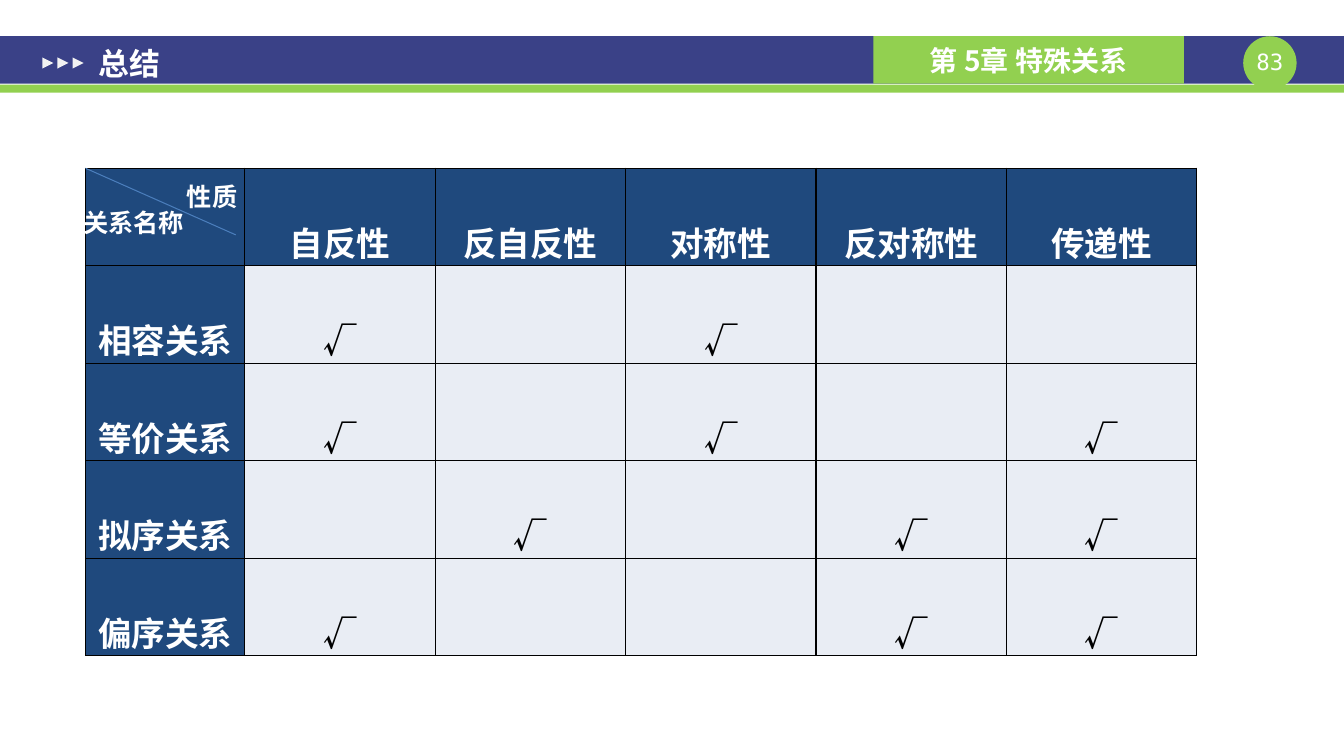
from lxml.etree import SubElement
from pptx import Presentation
from pptx.dml.color import RGBColor
from pptx.enum.shapes import MSO_CONNECTOR as Connector, MSO_SHAPE as Shape
from pptx.enum.text import MSO_ANCHOR as Anchor, PP_ALIGN as Align
from pptx.oxml.ns import qn
from pptx.util import Pt

PX = 9144
SANS = "Noto Sans CJK SC"
COLORS = {
    "band": "3A4187", "accent": "92D050", "arrow": "F2F2F2", "white": "FFFFFF",
    "black": "000000", "header": "1F497D", "body": "E9EDF4", "diagonal": "4B7EBC",
}
PROPERTIES = ["自反性", "反自反性", "对称性", "反对称性", "传递性"]
RELATIONS = {
    "相容关系": ["自反性", "对称性"],
    "等价关系": ["自反性", "对称性", "传递性"],
    "拟序关系": ["反自反性", "反对称性", "传递性"],
    "偏序关系": ["自反性", "反对称性", "传递性"],
}


def px(*lengths):
    return [length * PX for length in lengths]


def color(name):
    return RGBColor.from_string(COLORS[name])


def write(frame, text, size, font=SANS, ink="white", bold=True, align=Align.CENTER):
    frame.text = text
    para = frame.paragraphs[0]
    para.alignment = align
    for span in para.runs:
        span.font.size = Pt(size)
        span.font.bold = bold
        span.font.name = font
        span.font.color.rgb = color(ink)
        SubElement(span.font._element, qn("a:ea"), typeface=font)
    return para


def set_margins(frame, horizontal, vertical):
    frame.margin_left = frame.margin_right = horizontal * PX
    frame.margin_top = frame.margin_bottom = vertical * PX


def add_block(page, kind, bounds, fill):
    block = page.shapes.add_shape(kind, *px(*bounds))
    block.shadow.inherit = False
    block.fill.solid()
    block.fill.fore_color.rgb = color(fill)
    block.line.fill.background()
    return block


def add_label(page, bounds, text, size, font, bold=True):
    box = page.shapes.add_textbox(*px(*bounds))
    box.text_frame.word_wrap = True
    box.text_frame.vertical_anchor = Anchor.MIDDLE
    write(box.text_frame, text, size, font, bold=bold)
    return box


def add_header(page):
    add_block(page, Shape.RECTANGLE, (0, 36, 1334, 47), "band")
    add_block(page, Shape.RECTANGLE, (0, 84, 1334, 8), "accent")
    add_block(page, Shape.OVAL, (1234, 36, 53, 53), "accent")
    number = add_label(page, (1234, 48, 53, 27), "83", 16, "DejaVu Sans Mono", False)
    set_margins(number.text_frame, 0, 0)
    chapter = add_block(page, Shape.RECTANGLE, (867, 36, 308, 47), "accent")
    chapter.text_frame.vertical_anchor = Anchor.MIDDLE
    write(chapter.text_frame, "第 5章 特殊关系", 20)
    for index in range(3):
        arrow = add_block(page, Shape.ISOSCELES_TRIANGLE, (42 + 15 * index, 57, 11, 11), "arrow")
        arrow.rotation = 90


def place_title(page, text):
    title = page.shapes.title
    title.left, title.top, title.width, title.height = px(85, 39, 583, 47)
    set_margins(title.text_frame, 13, 7)
    title.text_frame.vertical_anchor = Anchor.MIDDLE
    write(title.text_frame, text, 22, align=Align.LEFT)
    page.shapes._spTree.append(title._element)


def style_cell(cell, text, fill, ink):
    properties = cell._tc.get_or_add_tcPr()
    for side in ("lnL", "lnR", "lnT", "lnB"):
        border = SubElement(properties, qn(f"a:{side}"), w=str(Pt(1)))
        paint = SubElement(border, qn("a:solidFill"))
        SubElement(paint, qn("a:srgbClr"), val=COLORS["black"])
    cell.fill.solid()
    cell.fill.fore_color.rgb = color(fill)
    set_margins(cell, 7, 0)
    if text:
        write(cell.text_frame, text, 24, ink=ink).line_spacing = 2.0


def add_relation_table(page):
    rows = [["", *PROPERTIES]]
    for relation, held in RELATIONS.items():
        rows.append([relation, *("√" if name in held else "" for name in PROPERTIES)])
    table = page.shapes.add_table(len(rows), len(rows[0]), *px(85, 167, 1102, 412)).table
    for index, column in enumerate(table.columns):
        column.width = (189 if index else 158) * PX
    for index, row in enumerate(table.rows):
        row.height = (86 if index else 64) * PX
    for r, texts in enumerate(rows):
        for c, text in enumerate(texts):
            inner = r > 0 and c > 0
            style_cell(table.cell(r, c), text, "body" if inner else "header",
                       "black" if inner else "white")


def add_diagonal(page):
    diagonal = page.shapes.add_connector(Connector.STRAIGHT, *px(85, 167, 234, 233))
    diagonal.line.color.rgb = color("diagonal")
    diagonal.line.width = Pt(0.75)
    SubElement(diagonal._element.spPr, qn("a:effectLst"))


def main():
    """Build the summary slide of special relations and their properties."""
    deck = Presentation()
    deck.slide_width, deck.slide_height = px(1334, 750)
    page = deck.slides.add_slide(deck.slide_layouts[5])
    add_header(page)
    place_title(page, "总结")
    add_relation_table(page)
    add_diagonal(page)
    add_label(page, (152, 171, 117, 47), "性质", 18, "Arial")
    add_label(page, (58, 197, 149, 47), "关系名称", 18, "Arial")
    deck.save("out.pptx")


if __name__ == "__main__":
    main()
